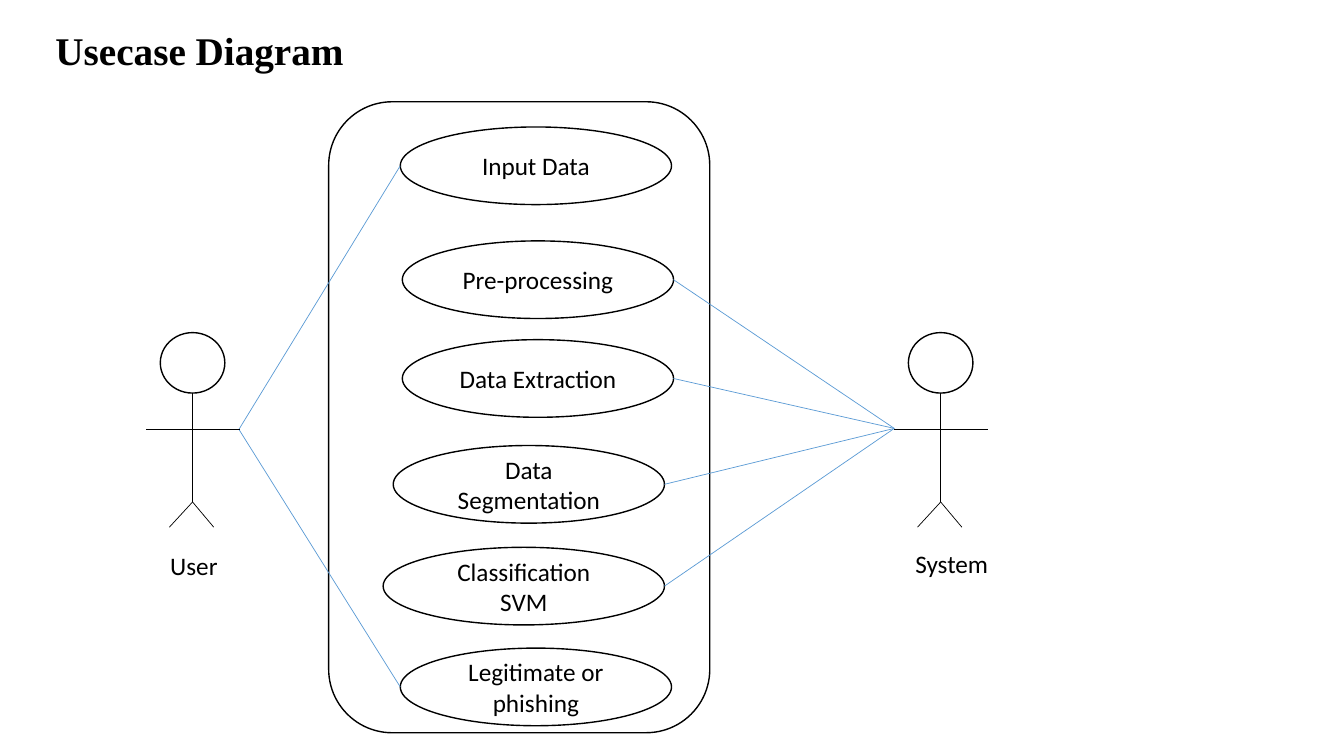
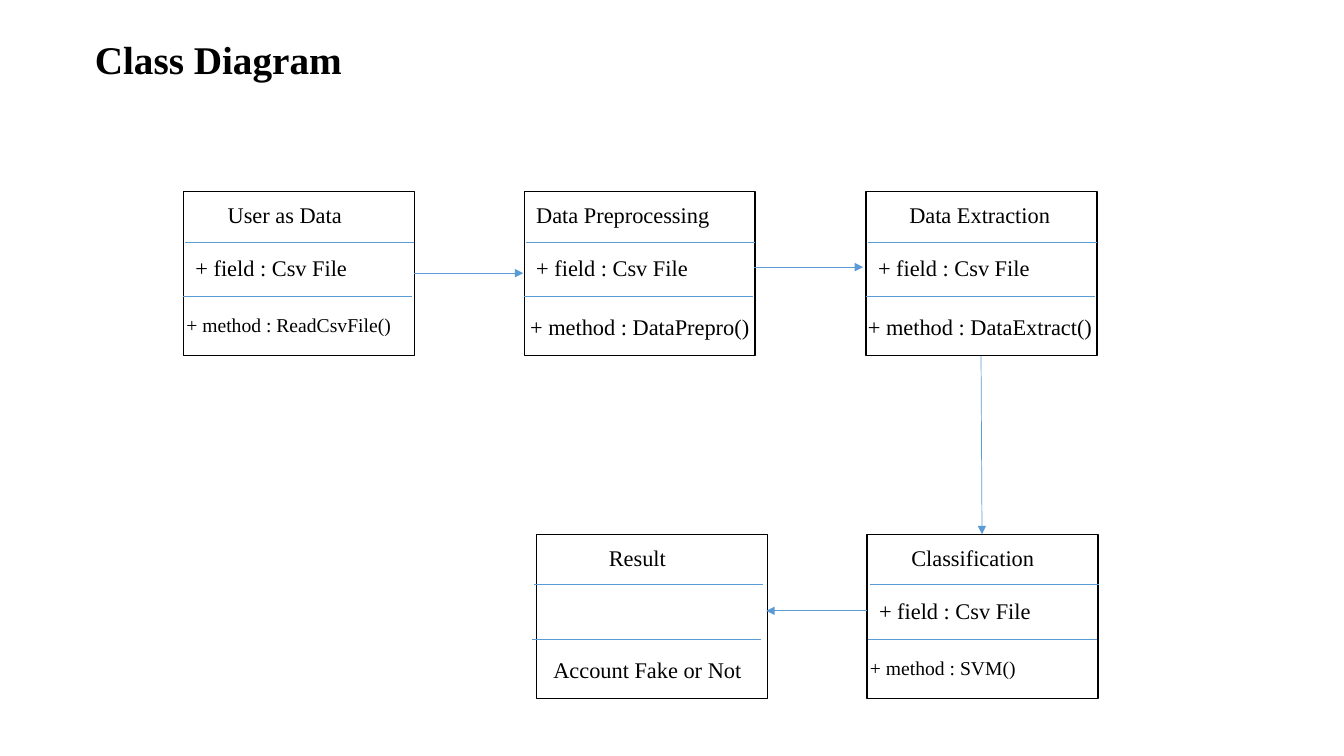
import pptx
import pptx.util
import pptx.dml.color
import pptx.enum.shapes
import pptx.enum.text
import pptx.oxml
import pptx.oxml.ns
from dataclasses import dataclass

SHAPE = pptx.enum.shapes.MSO_SHAPE
ALIGN = pptx.enum.text.PP_ALIGN
ANCHOR = pptx.enum.text.MSO_ANCHOR
FIT = pptx.enum.text.MSO_AUTO_SIZE


@dataclass(frozen=True)
class Theme:
    ink: str = "000000"
    paper: str = "FFFFFF"
    link: str = "5B9BD5"
    sans: str = "Calibri"
    serif: str = "Times New Roman"
    title: int = 28
    label: int = 18
    body: int = 16
    small: int = 14
    edge: float = 1
    thin: float = 0.5


THEME = Theme()
WIDE, HIGH = 13.33, 7.5  # columns and rows of one inch

OVAL_H = 0.77
HEAD_W, HEAD_H = 0.64, 0.6
BOX_W, BOX_H = 2.29, 1.63


def cell(*sizes):
    """Turn grid columns or rows into slide lengths."""
    return [pptx.util.Inches(size) for size in sizes]


def color(code):
    return pptx.dml.color.RGBColor.from_string(code)


def write(shape, text, size=THEME.body, font=THEME.serif, bold=False,
          align=ALIGN.LEFT, anchor=ANCHOR.TOP, wrap=True, fit=FIT.NONE):
    frame = shape.text_frame
    frame.word_wrap = wrap
    frame.auto_size = fit
    frame.vertical_anchor = anchor
    par = frame.paragraphs[0]
    par.alignment = align
    run = par.add_run()
    run.text = text
    run.font.size = pptx.util.Pt(size)
    run.font.name = font
    run.font.bold = bold
    run.font.color.rgb = color(THEME.ink)


def note(slide, text, x, y, w, h=0.37, **style):
    box = slide.shapes.add_textbox(*cell(x, y, w, h))
    write(box, text, fit=FIT.SHAPE_TO_FIT_TEXT, **style)


def block(slide, kind, x, y, w, h):
    """Add a white shape with a black outline."""
    shape = slide.shapes.add_shape(kind, *cell(x, y, w, h))
    shape.shadow.inherit = False
    shape.fill.solid()
    shape.fill.fore_color.rgb = color(THEME.paper)
    shape.line.color.rgb = color(THEME.ink)
    shape.line.width = pptx.util.Pt(THEME.edge)
    return shape


def line(slide, start, end, tint=THEME.link, arrow=False):
    kind = pptx.enum.shapes.MSO_CONNECTOR.STRAIGHT
    wire = slide.shapes.add_connector(kind, *cell(*start, *end))
    wire.line.color.rgb = color(tint)
    wire.line.width = pptx.util.Pt(THEME.thin)
    qn = pptx.oxml.ns.qn
    props = wire.element.spPr
    if arrow:
        tip = props.find(qn("a:ln")).makeelement(qn("a:tailEnd"), {"type": "triangle"})
        props.find(qn("a:ln")).append(tip)
    props.append(props.makeelement(qn("a:effectLst"), {}))


def page(deck, title, x, y, w, align=ALIGN.LEFT):
    slide = deck.slides.add_slide(deck.slide_layouts[5])
    head = slide.shapes.title
    head.left, head.top, head.width, head.height = cell(x, y, w, 0.57)
    write(head, title, size=THEME.title, bold=True, align=align)
    return slide


def actor(slide, x, y):
    """Draw a stick figure whose head has its top left at x, y."""
    block(slide, SHAPE.OVAL, x, y, HEAD_W, HEAD_H)
    mid, hip, foot = x + HEAD_W / 2, y + 1.68, y + 1.93
    limbs = [((mid, y + HEAD_H), (mid, hip)),
             ((mid - 0.46, y + 0.96), (mid + 0.47, y + 0.96)),
             ((mid, hip), (mid - 0.23, foot)),
             ((mid, hip), (mid + 0.21, foot))]
    for start, end in limbs:
        line(slide, start, end, tint=THEME.ink)


def entity(slide, x, y, name, inset, field, method, size=THEME.body,
           shift=-0.07, slip=0):
    """Draw a class box; inset, shift and slip offset name, method and rules."""
    block(slide, SHAPE.RECTANGLE, x, y, BOX_W, BOX_H)
    for left, row in ((x + slip + 0.02, 0.5), (x + slip, 1.04)):
        line(slide, (left, y + row), (left + 2.27, y + row))
    note(slide, name, x + inset, y + 0.05, BOX_W - inset)
    if field:
        note(slide, field, x + 0.02, y + 0.57, 1.92)
    note(slide, method, x + shift, y + 1.16, 2.7, size=size)


def usecase(deck):
    slide = page(deck, "Usecase Diagram", 0.45, 0.21, 3.64)
    block(slide, SHAPE.ROUNDED_RECTANGLE, 3.26, 1.01, 3.78, 6.26)
    user, system = (2.37, 4.26), (8.87, 4.25)
    cases = [("Input Data", 3.97, 1.26, 2.69, user),
             ("Pre-processing", 3.99, 2.39, 2.69, system),
             ("Data Extraction", 3.99, 3.37, 2.69, system),
             ("Data Segmentation", 3.9, 4.42, 2.69, system),
             ("Classification SVM", 3.8, 5.43, 2.79, system),
             ("Legitimate or phishing", 3.97, 6.43, 2.69, user)]
    for text, x, y, w, hand in cases:
        oval = block(slide, SHAPE.OVAL, x, y, w, OVAL_H)
        write(oval, text, size=THEME.label, font=THEME.sans,
              align=ALIGN.CENTER, anchor=ANCHOR.MIDDLE)
        side = x if hand == user else x + w
        line(slide, (side, y + OVAL_H / 2), hand)
    for text, x, left, top, w in (("User", 1.59, 1.59, 5.41, 0.7),
                                  ("System", 9.01, 8.98, 5.39, 1)):
        actor(slide, x, 3.3)
        note(slide, text, left, top, w, 0.4, size=THEME.label,
             font=THEME.sans, wrap=False)


def classes(deck):
    slide = page(deck, "Class Diagram", 0.81, 0.3, 2.71, align=ALIGN.CENTER)
    top, low = 1.9, 5.3
    field = "+ field : Csv File"
    entity(slide, 1.82, top, "User as Data", 0.34, field,
           "+ method : ReadCsvFile()", size=THEME.small)
    entity(slide, 5.2, top, "Data Preprocessing", 0.02, field,
           "+ method : DataPrepro()", shift=-0.04)
    entity(slide, 8.59, top, "Data Extraction", 0.33, field,
           "+ method : DataExtract()", shift=-0.08)
    entity(slide, 8.6, low, "Classification", 0.34, field,
           "+ method : SVM()", size=THEME.small, slip=0.01)
    entity(slide, 5.32, low, "Result", 0.62, None,
           "Account Fake or Not", shift=0.07, slip=-0.04)
    flows = [((4.11, 2.71), (5.19, 2.71)), ((7.48, 2.65), (8.56, 2.65)),
             ((9.73, top + BOX_H), (9.74, low)), ((8.6, 6.06), (7.6, 6.06))]
    for start, end in flows:
        line(slide, start, end, arrow=True)


def main():
    deck = pptx.Presentation()
    deck.slide_width, deck.slide_height = cell(WIDE, HIGH)
    usecase(deck)
    classes(deck)
    deck.save("out.pptx")


if __name__ == "__main__":
    main()
